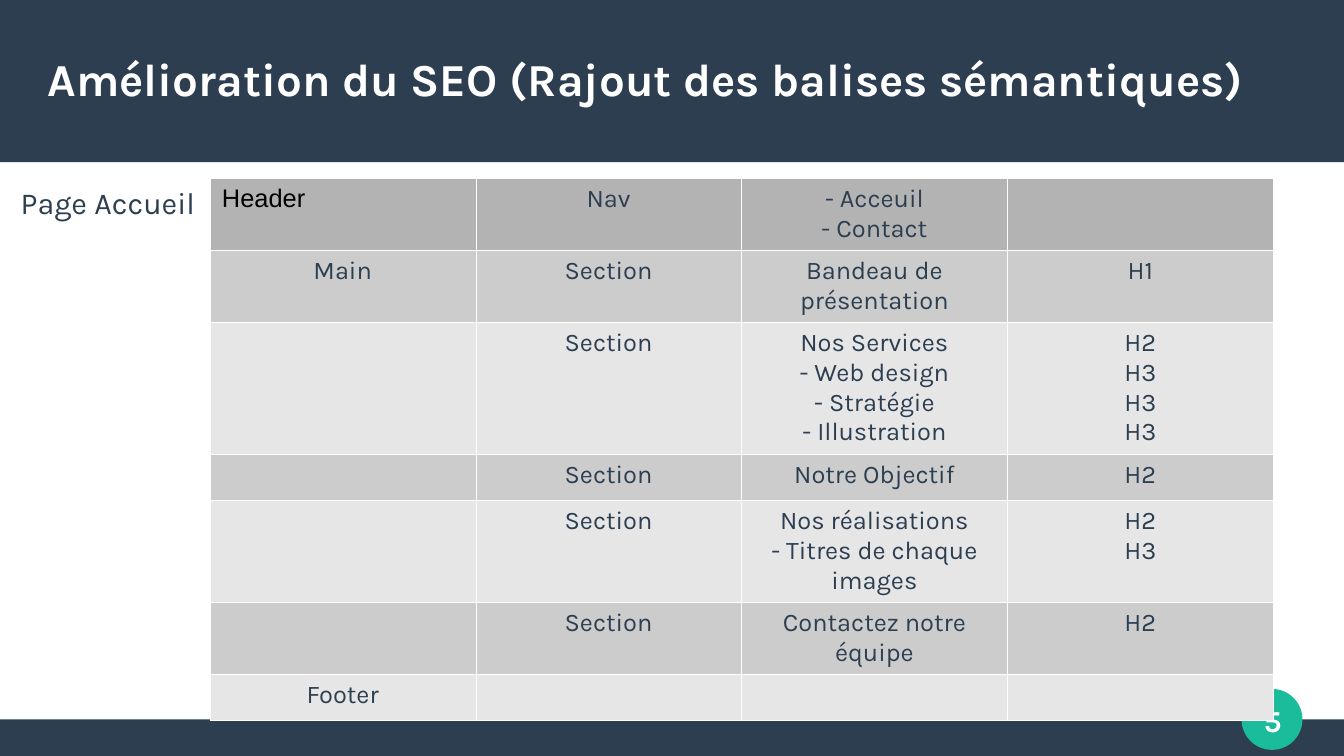
from dataclasses import dataclass

import lxml.etree
import pptx
import pptx.dml.color
import pptx.enum.shapes
import pptx.enum.text
import pptx.oxml.ns
import pptx.util

Inches = pptx.util.Inches
Shape = pptx.enum.shapes.MSO_SHAPE
Align = pptx.enum.text.PP_ALIGN
Anchor = pptx.enum.text.MSO_ANCHOR
qn = pptx.oxml.ns.qn


@dataclass(frozen=True)
class Theme:
    navy: str = "2C3E50"
    green: str = "1ABC9C"
    white: str = "FFFFFF"
    black: str = "000000"
    header_row: str = "B3B3B3"
    dark_row: str = "CCCCCC"
    light_row: str = "E6E6E6"
    font: str = "Karla"
    header_font: str = "Arial"
    title_size: float = 27
    label_size: float = 18
    cell_size: float = 15


THEME = Theme()
SLIDE_WIDTH, SLIDE_HEIGHT = 11.02, 6.2
COLUMN_WIDTH = 2.18
LINE_HEIGHT = 0.245
MIN_ROW_HEIGHT = 0.38

# Each row: lines of text it needs, then its cells
PAGE_STRUCTURE = [
    (2, ["Header", "Nav", "- Acceuil\n- Contact", ""]),
    (2, ["Main", "Section", "Bandeau de présentation", "H1"]),
    (4, ["", "Section",
         "Nos Services\n- Web design\n- Stratégie\n- Illustration",
         "H2\nH3\nH3\nH3"]),
    (1, ["", "Section", "Notre Objectif", "H2"]),
    (3, ["", "Section", "Nos réalisations\n- Titres de chaque images", "H2\nH3"]),
    (2, ["", "Section", "Contactez notre équipe", "H2"]),
    (1, ["Footer", "", "", ""]),
]


def rgb(colour):
    return pptx.dml.color.RGBColor.from_string(colour)


def place(shape, left, top, width, height):
    shape.left, shape.top = Inches(left), Inches(top)
    shape.width, shape.height = Inches(width), Inches(height)


def write(paragraph, text, size, colour, align=Align.CENTER, bold=False, font=THEME.font):
    paragraph.alignment = align
    run = paragraph.add_run()
    run.text = text
    run.font.size = pptx.util.Pt(size)
    run.font.name = font
    run.font.bold = bold
    run.font.color.rgb = rgb(colour)


def add_block(slide, preset, box, colour):
    block = slide.shapes.add_shape(preset, *map(Inches, box))
    block.shadow.inherit = False
    block.fill.solid()
    block.fill.fore_color.rgb = rgb(colour)
    block.line.fill.background()


def add_label(slide, box, text, colour, bold=False):
    label = slide.shapes.add_textbox(*map(Inches, box))
    frame = label.text_frame
    frame.word_wrap = True
    frame.vertical_anchor = Anchor.MIDDLE
    write(frame.paragraphs[0], text, THEME.label_size, colour, bold=bold)


def add_title(slide, text):
    title = slide.shapes.title
    place(title, 0.39, 0.25, 10.24, 0.79)
    # Bring the title in front of the top band
    slide.shapes._spTree.append(title._element)
    frame = title.text_frame
    frame.margin_left = frame.margin_right = 0
    frame.margin_top = frame.margin_bottom = 0
    frame.word_wrap = True
    frame.auto_size = pptx.enum.text.MSO_AUTO_SIZE.NONE
    frame.vertical_anchor = Anchor.MIDDLE
    write(frame.paragraphs[0], text, THEME.title_size, THEME.white, Align.LEFT, True)


def set_borders(cell):
    properties = cell._tc.get_or_add_tcPr()
    for position, side in enumerate(("a:lnL", "a:lnR", "a:lnT", "a:lnB")):
        border = lxml.etree.Element(qn(side), w=str(pptx.util.Pt(0.06)))
        fill = lxml.etree.SubElement(border, qn("a:solidFill"))
        lxml.etree.SubElement(fill, qn("a:srgbClr"), val=THEME.white)
        properties.insert(position, border)


def fill_cell(cell, text, colour, **style):
    cell.fill.solid()
    cell.fill.fore_color.rgb = rgb(colour)
    set_borders(cell)
    frame = cell.text_frame
    if not text:
        # An empty cell keeps the line height of the others
        lxml.etree.SubElement(frame.paragraphs[0]._p, qn("a:endParaRPr"),
                              sz=str(THEME.cell_size * 100))
        return
    for index, line in enumerate(text.split("\n")):
        paragraph = frame.add_paragraph() if index else frame.paragraphs[0]
        write(paragraph, line, THEME.cell_size, **style)


def add_structure_table(slide):
    heights = [max(MIN_ROW_HEIGHT, 0.1 + LINE_HEIGHT * lines) for lines, _ in PAGE_STRUCTURE]
    columns = len(PAGE_STRUCTURE[0][1])
    table = slide.shapes.add_table(
        len(heights), columns, Inches(1.72), Inches(1.46),
        Inches(COLUMN_WIDTH * columns), Inches(sum(heights))).table
    table.first_row = table.horz_banding = False
    for column in table.columns:
        column.width = Inches(COLUMN_WIDTH)
    for r, (_, texts) in enumerate(PAGE_STRUCTURE):
        table.rows[r].height = Inches(heights[r])
        band = THEME.dark_row if r % 2 else THEME.light_row
        for c, text in enumerate(texts):
            style = {"colour": THEME.navy}
            if r == c == 0:
                style = {"colour": THEME.black, "align": Align.LEFT, "font": THEME.header_font}
            cell = table.cell(r, c)
            fill_cell_colour = band if r else THEME.header_row
            fill_cell_style(cell, text, fill_cell_colour, style)


def fill_cell_style(cell, text, background, style):
    ink = style.pop("colour")
    cell.fill.solid()
    cell.fill.fore_color.rgb = rgb(background)
    set_borders(cell)
    frame = cell.text_frame
    if not text:
        # An empty cell keeps the line height of the others
        lxml.etree.SubElement(frame.paragraphs[0]._p, qn("a:endParaRPr"),
                              sz=str(THEME.cell_size * 100))
        return
    for index, line in enumerate(text.split("\n")):
        paragraph = frame.add_paragraph() if index else frame.paragraphs[0]
        write(paragraph, line, THEME.cell_size, ink, **style)


def main():
    deck = pptx.Presentation()
    deck.slide_width, deck.slide_height = Inches(SLIDE_WIDTH), Inches(SLIDE_HEIGHT)
    slide = deck.slides.add_slide(deck.slide_layouts[5])
    add_block(slide, Shape.RECTANGLE, (0, 5.9, SLIDE_WIDTH, 0.3), THEME.navy)
    add_block(slide, Shape.RECTANGLE, (0, 0, SLIDE_WIDTH, 1.33), THEME.navy)
    add_block(slide, Shape.OVAL, (10.18, 5.65, 0.5, 0.5), THEME.green)
    add_label(slide, (10.04, 5.61, 0.79, 0.59), "5", THEME.white, bold=True)
    add_title(slide, "Amélioration du SEO (Rajout des balises sémantiques)")
    add_structure_table(slide)
    add_label(slide, (-0.2, 1.44, 2.17, 0.44), "Page Accueil", THEME.navy)
    deck.save("out.pptx")


if __name__ == "__main__":
    main()
